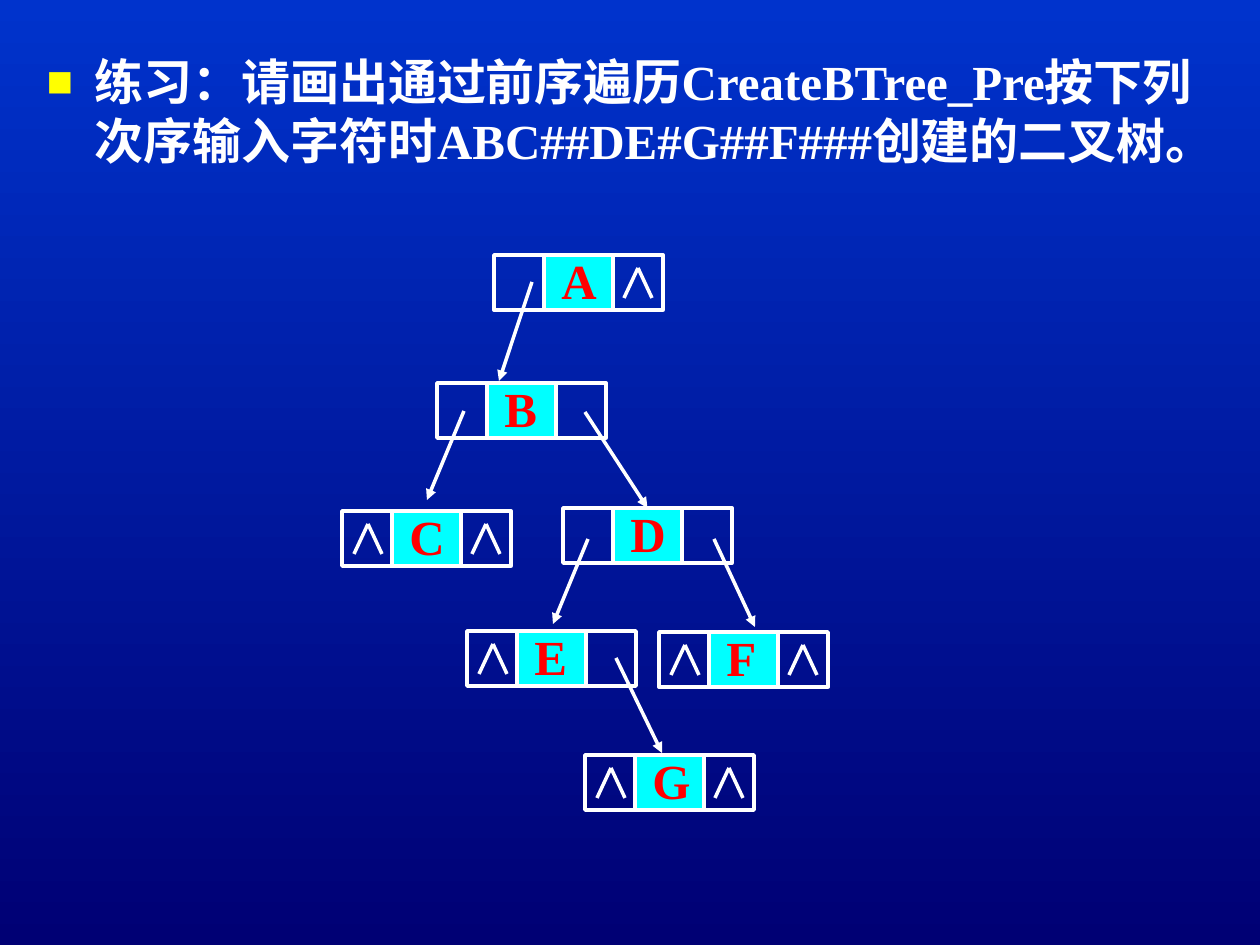
from lxml.etree import SubElement
from pptx import Presentation
from pptx.dml.color import RGBColor
from pptx.enum.shapes import MSO_CONNECTOR as Connector, MSO_SHAPE as Shape
from pptx.enum.text import MSO_ANCHOR as Anchor, MSO_AUTO_SIZE as AutoSize
from pptx.oxml.ns import qn
from pptx.util import Inches, Pt

PX = Inches(1) / 126
FONT = "Times New Roman"
COLORS = {
    "sky": "0033CC",
    "navy": "000074",
    "white": "FFFFFF",
    "cyan": "00FFFF",
    "red": "FF0000",
    "yellow": "FFFF00",
}
EXERCISE = ("练习：请画出通过前序遍历CreateBTree_Pre按下列次序输入字符时"
            "ABC##DE#G##F###创建的二叉树。")

# Tree node: left | data | right
NODE_WIDTH, NODE_HEIGHT = 169, 55
DIVIDERS = (50, 119)
NULL_OFFSETS = {"left": 12, "right": 130}
NODES = {
    "A": (494, 255),
    "B": (437, 383),
    "C": (342, 511),
    "D": (563, 508),
    "E": (467, 631),
    "F": (659, 632),
    "G": (585, 755),
}
# Parent, side, child, start, end
LINKS = [
    ("A", "left", "B", (532, 282), (499, 381)),
    ("B", "left", "C", (464, 411), (427, 500)),
    ("B", "right", "D", (585, 412), (648, 508)),
    ("D", "left", "E", (588, 539), (553, 624)),
    ("D", "right", "F", (714, 539), (755, 627)),
    ("E", "right", "G", (616, 658), (662, 753)),
]


def px(*lengths):
    return [round(length * PX) for length in lengths]


def rgb(name):
    return RGBColor.from_string(COLORS[name])


def write_text(shape, text, color="white", size=28, bold=True, space_before=7,
               wrap=True, auto_size=AutoSize.NONE):
    frame = shape.text_frame
    frame.word_wrap = wrap
    frame.auto_size = auto_size
    frame.vertical_anchor = Anchor.TOP
    paragraph = frame.paragraphs[0]
    paragraph.space_before = Pt(space_before)
    run = paragraph.add_run()
    run.text = text
    run.font.name = FONT
    run.font.size = Pt(size)
    run.font.bold = bold
    run.font.color.rgb = rgb(color)
    return paragraph


def add_bullet(paragraph, color, indent, percent=90, character="■"):
    properties = paragraph._p.get_or_add_pPr()
    distance = px(indent)[0]
    properties.set("marL", str(distance))
    properties.set("indent", str(-distance))
    bullet_color = SubElement(properties, qn("a:buClr"))
    SubElement(bullet_color, qn("a:srgbClr"), val=COLORS[color])
    SubElement(properties, qn("a:buSzPct"), val=str(percent * 1000))
    SubElement(properties, qn("a:buChar"), char=character)


def add_rectangle(shapes, left, top, width, height, fill=None, line=None):
    rectangle = shapes.add_shape(Shape.RECTANGLE, *px(left, top, width, height))
    rectangle.shadow.inherit = False
    if fill:
        rectangle.fill.solid()
        rectangle.fill.fore_color.rgb = rgb(fill)
    else:
        rectangle.fill.background()
    if line:
        rectangle.line.color.rgb = rgb(line)
        rectangle.line.width = Pt(2)
    else:
        rectangle.line.fill.background()
    return rectangle


def add_line(shapes, start, end, arrow=False):
    line = shapes.add_connector(Connector.STRAIGHT, *px(*start, *end))
    line.line.color.rgb = rgb("white")
    line.line.width = Pt(2)
    if arrow:
        SubElement(line.line._get_or_add_ln(), qn("a:tailEnd"), type="triangle")
    SubElement(line._element.spPr, qn("a:effectLst"))
    return line


def add_null(shapes, left, top):
    """Draw the ∧ sign of an empty child pointer."""
    apex = (left + 14, top)
    for foot in (left, left + 28):
        add_line(shapes, (foot, top + 30), apex)


def add_node(slide, letter, left, top, null_sides):
    shapes = slide.shapes.add_group_shape().shapes
    first, second = DIVIDERS
    add_rectangle(shapes, left + first + 1, top + 1, second - first - 1,
                  NODE_HEIGHT - 1, fill="cyan")
    label = shapes.add_textbox(*px(left + 55, top - 11, 58, 72))
    write_text(label, letter, color="red", auto_size=AutoSize.SHAPE_TO_FIT_TEXT)
    frame = add_rectangle(shapes, left, top, NODE_WIDTH, NODE_HEIGHT, line="white")
    for offset in DIVIDERS:
        x = left + offset
        add_line(shapes, (x, top), (x, top + NODE_HEIGHT))
    for side in null_sides:
        add_null(shapes, left + NULL_OFFSETS[side], top + 13)
    return frame


def add_tree(slide):
    used = {(parent, side) for parent, side, *_ in LINKS}
    frames = {}
    for letter, (left, top) in NODES.items():
        null_sides = [side for side in NULL_OFFSETS if (letter, side) not in used]
        frames[letter] = add_node(slide, letter, left, top, null_sides)

    # Child pointers
    for _, _, child, start, end in LINKS:
        arrow = add_line(slide.shapes, start, end, arrow=True)
        left, top = NODES[child]
        if end[1] == top and abs(end[0] - left - NODE_WIDTH / 2) <= 1:
            arrow.end_connect(frames[child], 0)


def set_background(slide):
    fill = slide.background.fill
    fill.gradient()
    fill.gradient_angle = 270
    for stop, position, color in zip(fill.gradient_stops, (0, 1), ("sky", "navy")):
        stop.position = position
        stop.color.rgb = rgb(color)


def add_exercise(slide):
    body = slide.placeholders[1]
    body.left, body.top, body.width, body.height = px(34, 45, 1207, 131)
    paragraph = write_text(body, EXERCISE)
    add_bullet(paragraph, "yellow", indent=48)


def main():
    presentation = Presentation()
    presentation.slide_width = Inches(10)
    presentation.slide_height = Inches(7.5)
    slide = presentation.slides.add_slide(presentation.slide_layouts[1])
    title = slide.shapes.title._element
    title.getparent().remove(title)

    set_background(slide)
    add_exercise(slide)
    add_tree(slide)
    presentation.save("out.pptx")


if __name__ == "__main__":
    main()
